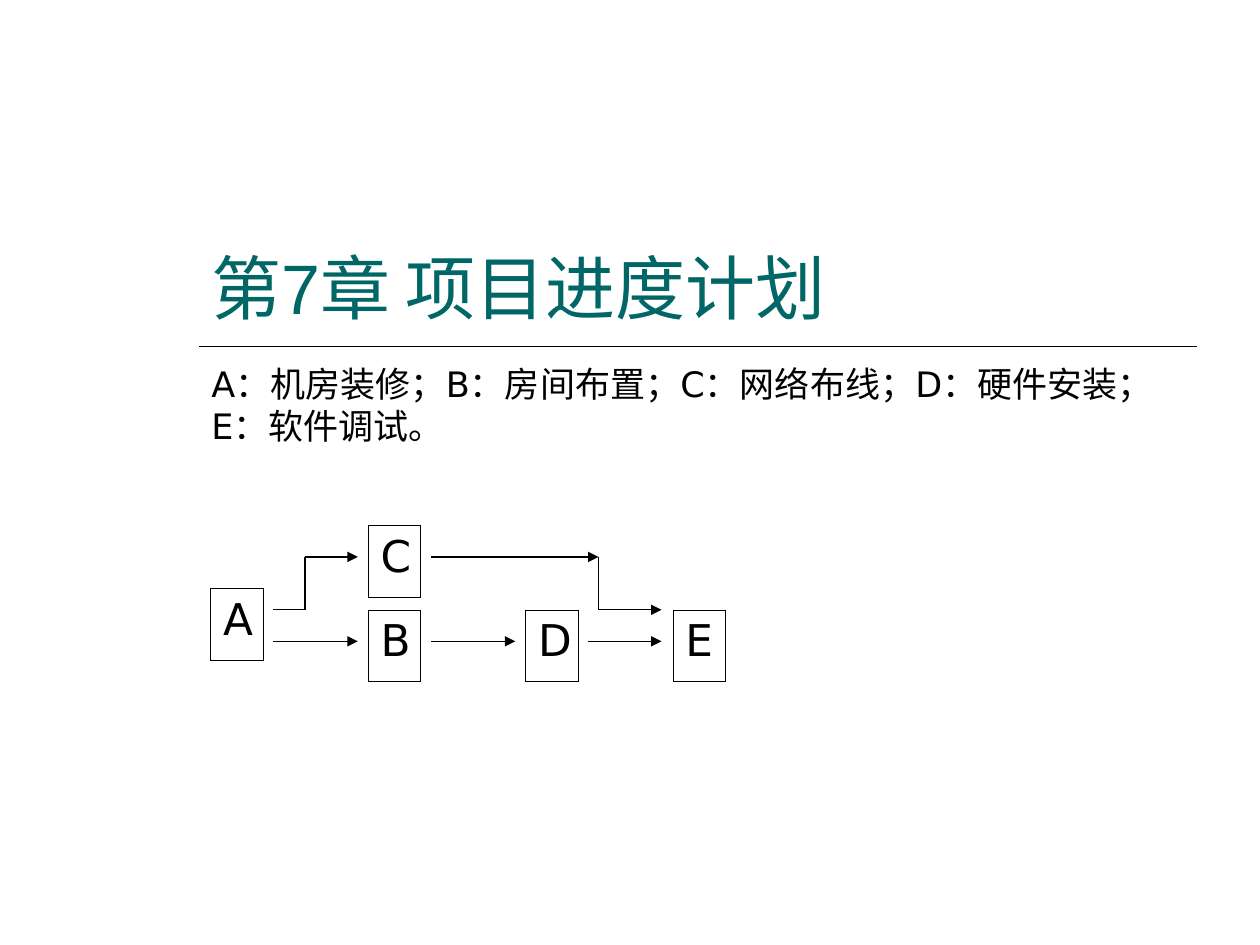
from dataclasses import dataclass

from lxml import etree
from pptx import Presentation
from pptx.dml.color import RGBColor
from pptx.enum.shapes import MSO_CONNECTOR
from pptx.enum.text import MSO_ANCHOR
from pptx.oxml import parse_xml
from pptx.oxml.ns import nsdecls, qn
from pptx.util import Inches, Pt

STRAIGHT = MSO_CONNECTOR.STRAIGHT
TOP, BOTTOM = MSO_ANCHOR.TOP, MSO_ANCHOR.BOTTOM


@dataclass(frozen=True)
class Theme:
    ink: str = "000000"
    accent: str = "006666"
    heading_font: str = "Arial"
    body_font: str = "DejaVu Sans"
    title_size: float = 40
    body_size: float = 20
    node_size: float = 25
    rule_width: float = 1
    arrow_width: float = 0.75
    border_width: float = 0.45


THEME = Theme()
TITLE_FORMAT = {"name": THEME.heading_font, "size": Pt(THEME.title_size)}
BODY_FORMAT = {"name": THEME.body_font, "size": Pt(THEME.body_size)}
NODE_FORMAT = {"name": THEME.body_font, "size": Pt(THEME.node_size)}

NODE_W, NODE_H = 0.42, 0.57
NODES = {"A": (0, 0.5), "C": (1.25, 0), "B": (1.25, 0.67),
         "D": (2.5, 0.67), "E": (3.67, 0.67)}
UPPER, MIDDLE, LOWER = 0.25, 0.67, 0.92
ROUTES = [
    [(0.5, MIDDLE), (0.75, MIDDLE), (0.75, UPPER), (1.17, UPPER)],
    [(0.5, LOWER), (1.17, LOWER)],
    [(1.75, LOWER), (2.42, LOWER)],
    [(3, LOWER), (3.58, LOWER)],
    [(1.75, UPPER), (3.08, UPPER)],
    [(3.08, UPPER), (3.08, MIDDLE), (3.58, MIDDLE)],
]


def write_text(tf, text, fmt, color):
    p = tf.paragraphs[0]
    r = p.add_run()
    r.text = text
    for key, value in fmt.items():
        setattr(r.font, key, value)
    r.font.color.rgb = RGBColor.from_string(color)


def add_text(s, box, text, fmt, color, anchor):
    tf = s.shapes.add_textbox(*map(Inches, box)).text_frame
    tf.word_wrap = True
    tf.vertical_anchor = anchor
    write_text(tf, text, fmt, color)


def add_line(s, start, end, width, arrow=False):
    line = s.shapes.add_connector(STRAIGHT, *map(Inches, (*start, *end)))
    line.line.color.rgb = RGBColor.from_string(THEME.ink)
    line.line.width = Pt(width)
    if arrow:
        etree.SubElement(line.line._get_or_add_ln(), qn("a:tailEnd"), type="triangle")
    etree.SubElement(line._element.spPr, qn("a:effectLst"))


def add_node(s, left, top, label):
    box = map(Inches, (left, top, NODE_W, NODE_H))
    table = s.shapes.add_table(1, 1, *box).table
    table.first_row = table.horz_banding = False
    cell = table.cell(0, 0)
    tcPr = cell._tc.get_or_add_tcPr()
    for side in "LRTB":
        tcPr.append(parse_xml(
            f'<a:ln{side} {nsdecls("a")} w="{Pt(THEME.border_width)}"><a:solidFill>'
            f'<a:srgbClr val="{THEME.ink}"/></a:solidFill></a:ln{side}>'))
    cell.fill.background()
    write_text(cell.text_frame, label, NODE_FORMAT, THEME.ink)


def add_heading(s, left, top, width):
    add_text(s, (left, top, width, 1.58), "第7章 项目进度计划",
             TITLE_FORMAT, THEME.accent, BOTTOM)
    rule_y = top + 1.67
    add_line(s, (left, rule_y), (left + width, rule_y), THEME.rule_width)
    add_text(s, (left, top + 1.75, width, 0.92),
             "A：机房装修；B：房间布置；C：网络布线；D：硬件安装；E：软件调试。",
             BODY_FORMAT, THEME.ink, TOP)


def add_network(s, left, top):
    for label, (x, y) in NODES.items():
        add_node(s, left + x, top + y, label)
    for route in ROUTES:
        points = [(left + x, top + y) for x, y in route]
        for start, end in zip(points, points[1:]):
            add_line(s, start, end, THEME.arrow_width, end == points[-1])


def main():
    prs = Presentation()
    prs.slide_width, prs.slide_height = Inches(10), Inches(7.5)
    s = prs.slides.add_slide(prs.slide_layouts[6])
    add_heading(s, 1.58, 1.08, 7.92)
    add_network(s, 1.67, 4.17)
    prs.save("out.pptx")


if __name__ == "__main__":
    main()
